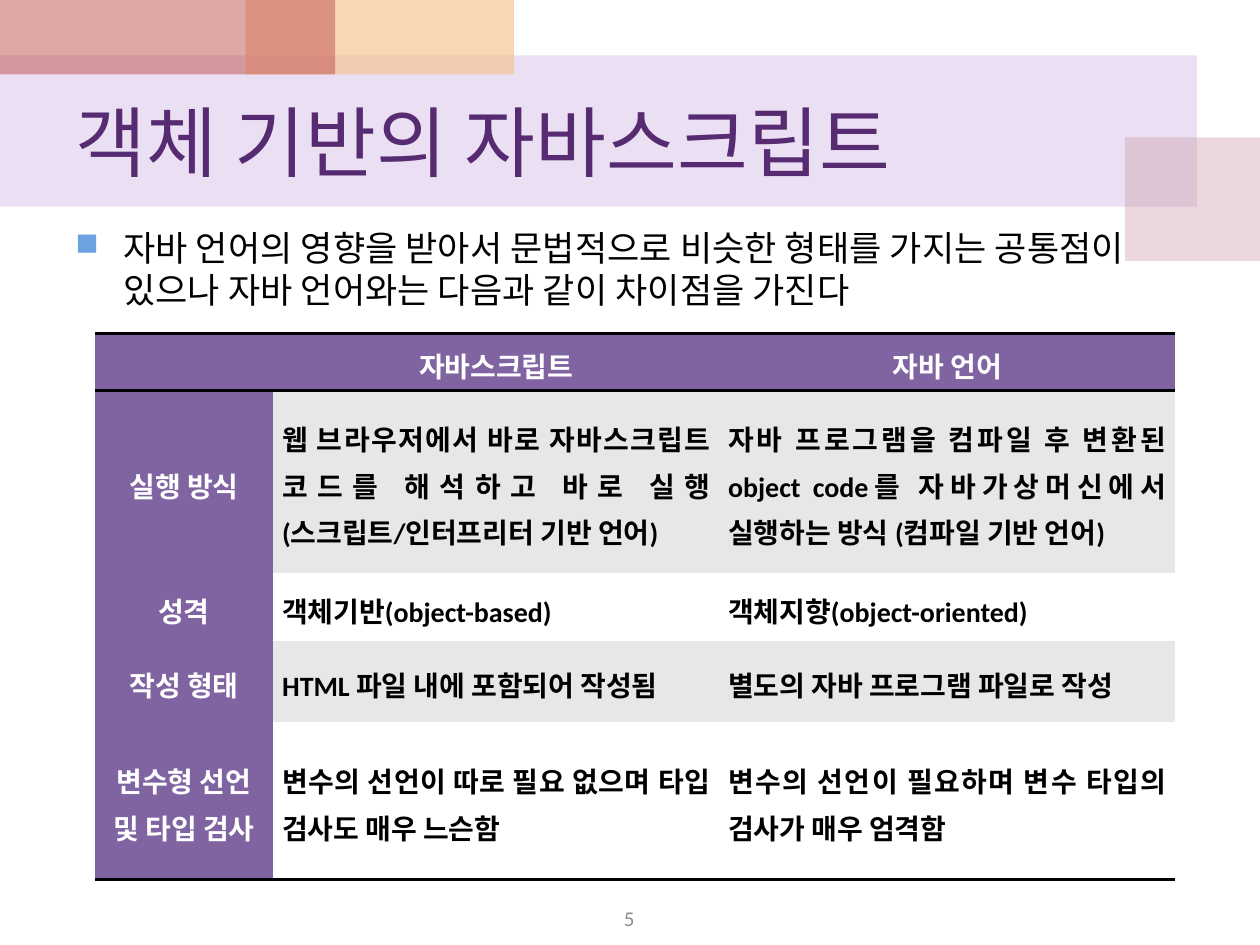
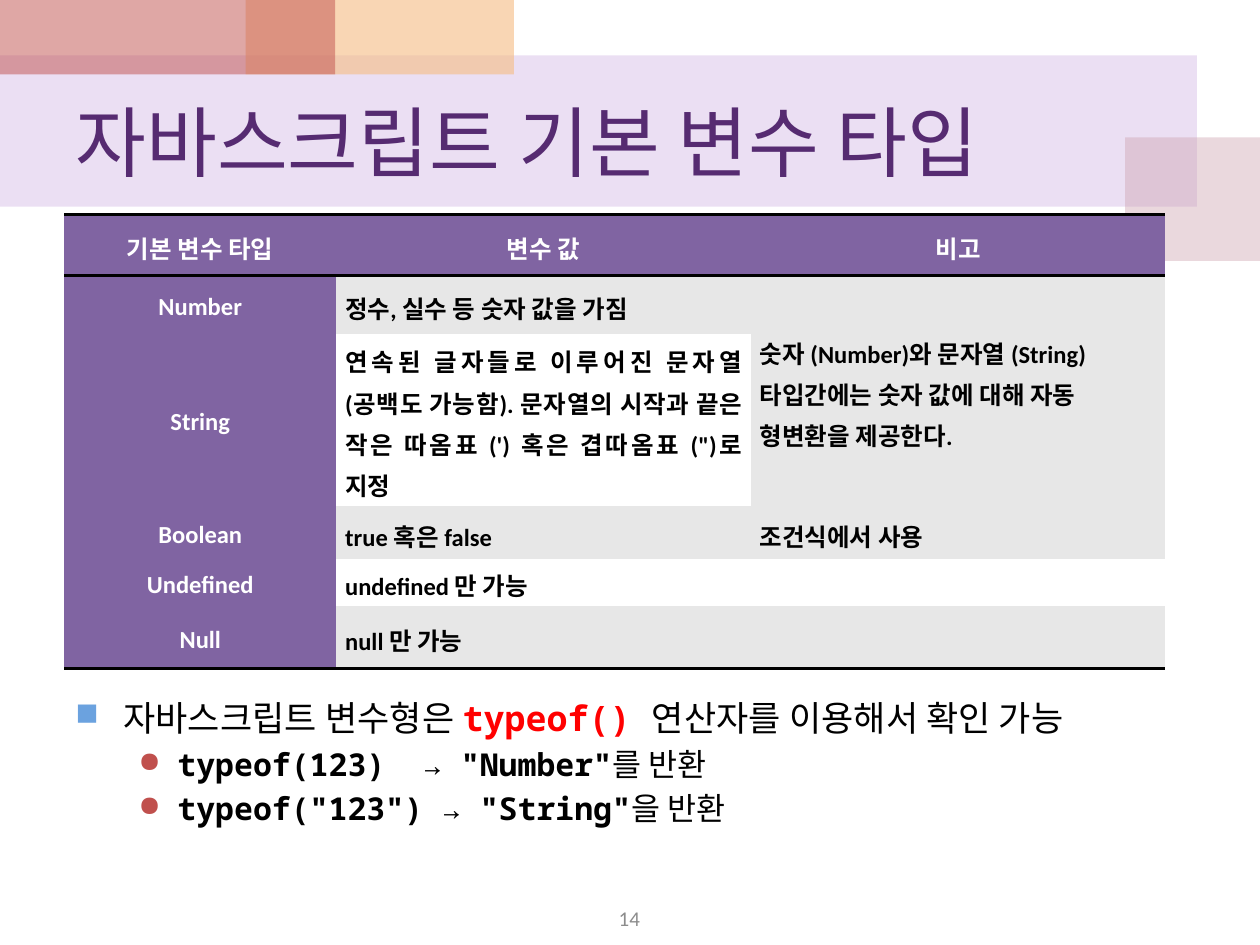
from lxml import etree
from pptx import Presentation
from pptx import util as u
from pptx.dml.color import RGBColor
from pptx.enum import shapes, text
from pptx.oxml import ns

BLACK, WHITE, RED = "000000", "FFFFFF", "FF0000"
PURPLE, GREY = "8064A2", "E7E7E7"
NO_STYLE_NO_GRID = "{2D5ABB26-0587-4C30-8999-92F81FD0307C}"

# left, top, width, height, colour, opacity in percent
BANDS = [
    (0, 0.44, 9.5, 1.2, "BF98D8", 30),
    (8.93, 1.09, 1.07, 0.98, "CC9EAC", 40),
    (1.95, 0, 2.13, 0.59, "F5BC83", 60),
    (0, 0, 2.66, 0.59, "C0504D", 50),
]
# bullet, bullet colour, text indent, hanging indent, text size
LEVELS = [("■", "6BA2DF", 0.38, 0.38, 20), ("●", "C0504D", 0.81, 0.31, 18)]

# Body paragraphs are (level, spans); a span is (text, colour of code or None).
PAGES = [
    {
        "title": "객체 기반의 자바스크립트",
        "number": "5",
        "body_at": (0.5, 1.75, 9, 4.95),
        "body": [(0, [("자바 언어의 영향을 받아서 문법적으로 비슷한 형태를 가지는 공통점이 "
                       "있으나 자바 언어와는 다음과 같이 차이점을 가진다", None)])],
        "table_at": (0.75, 2.65),
        "columns": [1.42, 3.54, 3.62],
        "heights": [0.45, 1.45, 0.54, 0.64, 1.25],
        "size": 16,
        "left_rows": [],
        "merge": None,
        "rows": [
            ("", "자바스크립트", "자바 언어"),
            ("실행 방식",
             "웹 브라우저에서 바로 자바스크립트 코드를 해석하고 바로 실행 (스크립트/인터프리터 기반 언어)",
             "자바 프로그램을 컴파일 후 변환된 object code를 자바가상머신에서 실행하는 방식 (컴파일 기반 언어)"),
            ("성격", "객체기반(object-based)", "객체지향(object-oriented)"),
            ("작성 형태", "HTML 파일 내에 포함되어 작성됨", "별도의 자바 프로그램 파일로 작성"),
            ("변수형 선언 및 타입 검사",
             "변수의 선언이 따로 필요 없으며 타입 검사도 매우 느슨함",
             "변수의 선언이 필요하며 변수 타입의 검사가 매우 엄격함"),
        ],
    },
    {
        "title": "자바스크립트 기본 변수 타입",
        "number": "14",
        "body_at": (0.5, 5.48, 9.22, 1.5),
        "body": [
            (0, [("자바스크립트 변수형은 ", None), ("typeof() ", RED),
                 ("연산자를 이용해서 확인 가능", None)]),
            (1, [('typeof(123)  → "Number"', BLACK), ("를 반환", None)]),
            (1, [('typeof("123") → "String"', BLACK), ("을 반환", None)]),
        ],
        "table_at": (0.51, 1.7),
        "columns": [2.16, 3.29, 3.29],
        "heights": [0.49, 0.46, 1.37, 0.42, 0.37, 0.5],
        "size": 14,
        "left_rows": [1],
        "merge": ((1, 2), (2, 2)),
        "rows": [
            ("기본 변수 타입", "변수 값", "비고"),
            ("Number", "정수, 실수 등 숫자 값을 가짐",
             "숫자 (Number)와 문자열 (String) 타입간에는 숫자 값에 대해 자동 형변환을 제공한다."),
            ("String",
             "연속된 글자들로 이루어진 문자열 (공백도 가능함). 문자열의 시작과 끝은 "
             "작은 따옴표 (') 혹은 겹따옴표 (\")로 지정", ""),
            ("Boolean", "true 혹은 false", "조건식에서 사용"),
            ("Undefined", "undefined 만 가능", ""),
            ("Null", "null 만 가능", ""),
        ],
    },
]


def rgb(color):
    return RGBColor.from_string(color)


def style(para, size, color, bold=False, east_asian=True):
    """Set the paragraph font; east_asian also names it for Korean letters."""
    font = para.font
    font.size, font.bold, font.name = u.Pt(size), bold, "Calibri"
    font.color.rgb = rgb(color)
    if east_asian:
        props = para._p.pPr.find(ns.qn("a:defRPr"))
        etree.SubElement(props, ns.qn("a:ea"), typeface="Calibri")


deck = Presentation()
deck.slide_width, deck.slide_height = u.Inches(10), u.Inches(7.5)

for page in PAGES:
    slide = deck.slides.add_slide(deck.slide_layouts[6])

    for *place, color, opacity in BANDS:
        band = slide.shapes.add_shape(shapes.MSO_SHAPE.RECTANGLE, *map(u.Inches, place))
        band.shadow.inherit = False
        band.line.fill.background()
        band.fill.solid()
        band.fill.fore_color.rgb = rgb(color)
        tint = band.fill._xPr.find(".//" + ns.qn("a:srgbClr"))
        etree.SubElement(tint, ns.qn("a:alpha"), val=str(opacity * 1000))

    # Title and page number
    for words, place, size, color, align in [
        (page["title"], (0.5, 0.59, 9, 1.05), 44, "562B71", text.PP_ALIGN.LEFT),
        (page["number"], (3.83, 7.15, 2.33, 0.27), 12, "8C8C8C", text.PP_ALIGN.CENTER),
    ]:
        frame = slide.shapes.add_textbox(*map(u.Inches, place)).text_frame
        frame.word_wrap = True
        frame.vertical_anchor = text.MSO_ANCHOR.MIDDLE
        para = frame.paragraphs[0]
        para.text, para.alignment = words, align
        style(para, size, color)

    # Bulleted body
    frame = slide.shapes.add_textbox(*map(u.Inches, page["body_at"])).text_frame
    frame.word_wrap = True
    for index, (level, spans) in enumerate(page["body"]):
        para = frame.add_paragraph() if index else frame.paragraphs[0]
        bullet, bullet_color, indent, hanging, size = LEVELS[level]
        para.level = level
        props = para._p.get_or_add_pPr()
        props.set("marL", str(u.Inches(indent)))
        props.set("indent", str(-u.Inches(hanging)))
        tint = etree.SubElement(props, ns.qn("a:buClr"))
        etree.SubElement(tint, ns.qn("a:srgbClr"), val=bullet_color)
        etree.SubElement(props, ns.qn("a:buSzPct"), val="90000")
        etree.SubElement(props, ns.qn("a:buChar"), char=bullet)
        para.space_before = u.Pt(size * 0.2)
        style(para, size, BLACK)
        for words, code_color in spans:
            span = para.add_run()
            span.text = words
            if code_color:
                span.font.name, span.font.bold = "Noto Sans Mono", True
                span.font.color.rgb = rgb(code_color)

    # Table
    rows, columns, heights = page["rows"], page["columns"], page["heights"]
    place = (*page["table_at"], sum(columns), sum(heights))
    table = slide.shapes.add_table(len(rows), len(columns), *map(u.Inches, place)).table
    table._tbl.tblPr.find(ns.qn("a:tableStyleId")).text = NO_STYLE_NO_GRID
    table.first_row = table.horz_banding = False
    for column, width in zip(table.columns, columns):
        column.width = u.Inches(width)
    for row, height in zip(table.rows, heights):
        row.height = u.Inches(height)
    if page["merge"]:
        first, last = page["merge"]
        table.cell(*first).merge(table.cell(*last))

    for r, row in enumerate(rows):
        edges = ["a:lnT", "a:lnB"] if r == 0 else ["a:lnB"] if r == len(rows) - 1 else []
        for c, words in enumerate(row):
            cell = table.cell(r, c)
            heading = r == 0 or c == 0
            cell.margin_left = cell.margin_right = u.Inches(0.07)
            cell.margin_top = cell.margin_bottom = 0
            cell.vertical_anchor = text.MSO_ANCHOR.MIDDLE
            for edge in edges:
                line = etree.SubElement(cell._tc.tcPr, ns.qn(edge), w=str(u.Pt(2)))
                paint = etree.SubElement(line, ns.qn("a:solidFill"))
                etree.SubElement(paint, ns.qn("a:srgbClr"), val=BLACK)
            cell.fill.solid()
            cell.fill.fore_color.rgb = rgb(PURPLE if heading else GREY if r % 2 else WHITE)
            para = cell.text_frame.paragraphs[0]
            para.text, para.line_spacing = words, 1.15
            if heading:
                para.alignment = text.PP_ALIGN.CENTER
            elif r not in page["left_rows"]:
                para.alignment = text.PP_ALIGN.JUSTIFY
            style(para, page["size"], WHITE if heading else BLACK, True, east_asian=False)

deck.save("out.pptx")
